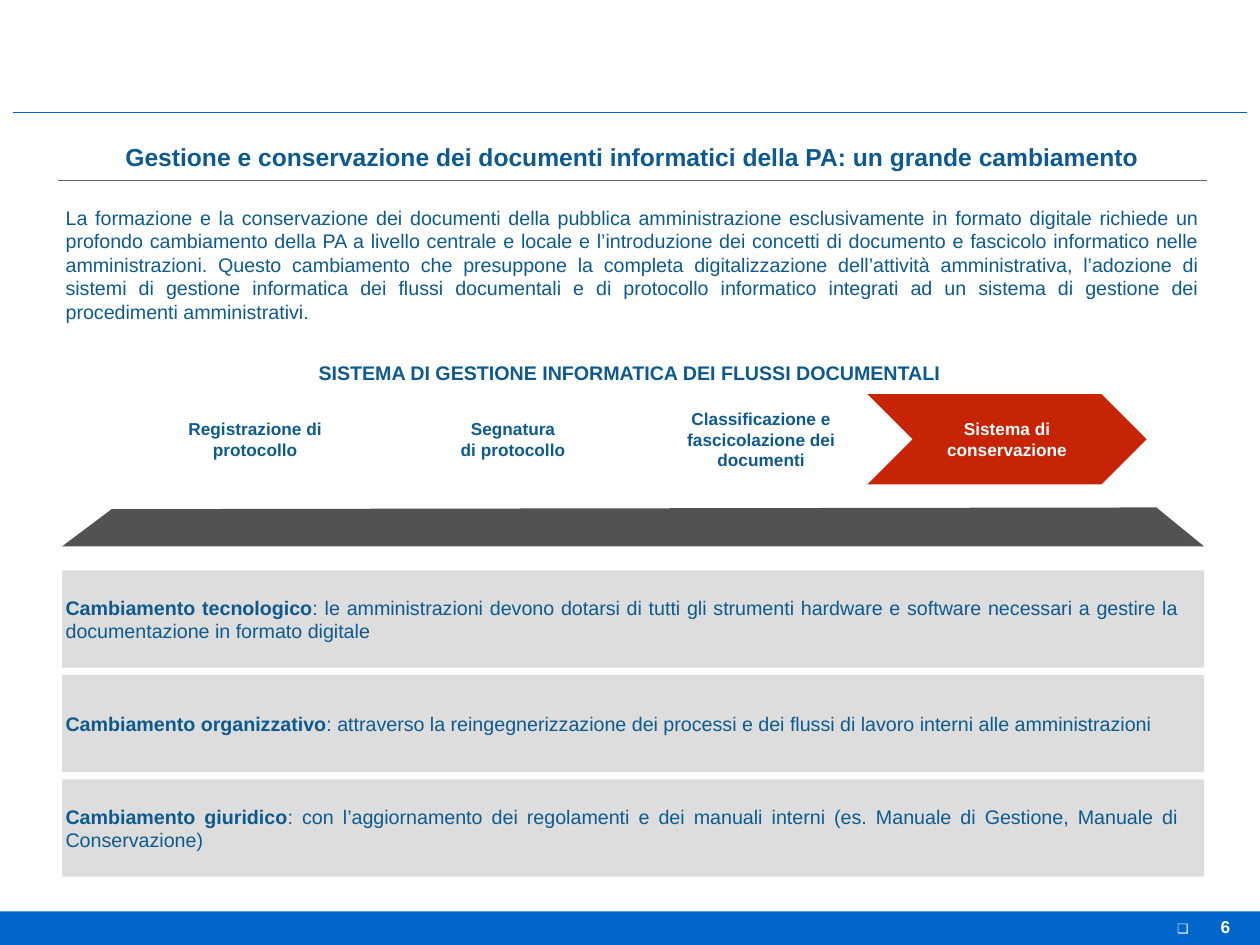
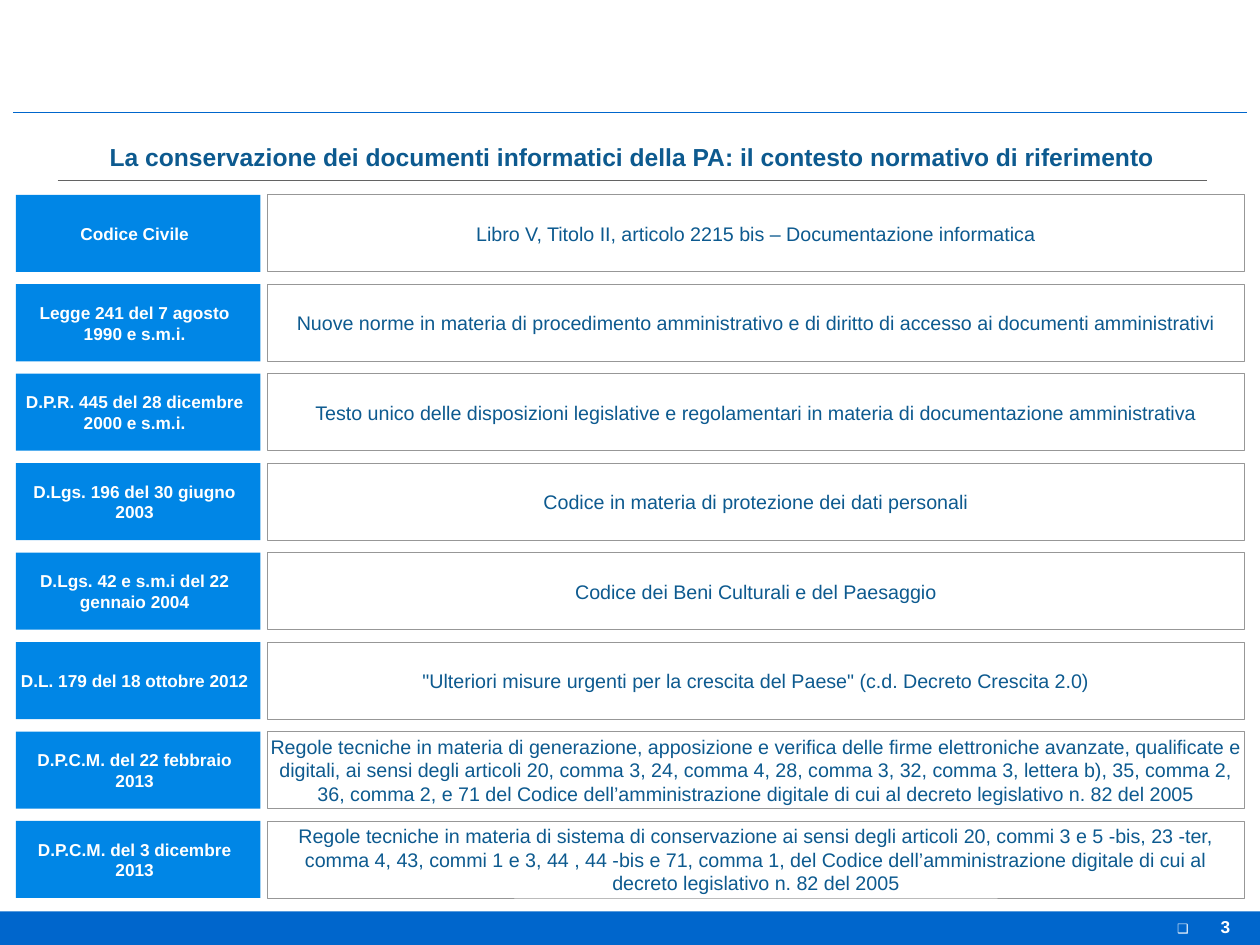
import pptx
import pptx.dml.color
import pptx.enum.shapes
import pptx.enum.text
import pptx.oxml.ns
import pptx.util
from lxml import etree

Inches = pptx.util.Inches
Pt = pptx.util.Pt
RGBColor = pptx.dml.color.RGBColor
SHAPE = pptx.enum.shapes.MSO_SHAPE
ALIGN = pptx.enum.text.PP_ALIGN
ANCHOR = pptx.enum.text.MSO_ANCHOR

# Shared style
FONT = "Arial"
BAND_BLUE = RGBColor(0x00, 0x66, 0xCC)
LABEL_BLUE = RGBColor(0x00, 0x86, 0xE6)
TEXT_BLUE = RGBColor(0x0D, 0x5A, 0x8F)
ACCENT_RED = RGBColor(0xC7, 0x24, 0x05)
DARK_GREY = RGBColor(0x52, 0x52, 0x52)
RULE_GREY = RGBColor(0x63, 0x63, 0x63)
BORDER_GREY = RGBColor(0x97, 0x97, 0x97)
CARD_GREY = RGBColor(0xDD, 0xDD, 0xDD)
WHITE = RGBColor(0xFF, 0xFF, 0xFF)

SLIDE_WIDTH, SLIDE_HEIGHT = 14.22, 10.67
BAND_TOP, BAND_HEIGHT = 10.29, 0.38
TITLE_BOX = (0.65, 1.5, 12.97, 0.54)

# Content
INTRO = (
    "La formazione e la conservazione dei documenti della pubblica amministrazione "
    "esclusivamente in formato digitale richiede un profondo cambiamento della PA a "
    "livello centrale e locale e l’introduzione dei concetti di documento e fascicolo "
    "informatico nelle amministrazioni. Questo cambiamento che presuppone la completa "
    "digitalizzazione dell’attività amministrativa, l’adozione di sistemi di gestione "
    "informatica dei flussi documentali e di protocollo informatico integrati ad un "
    "sistema di gestione dei procedimenti amministrativi."
)
# Centre of each step and its lines
STEPS = [
    (2.88, ["Registrazione di", "protocollo"]),
    (5.79, ["Segnatura", "di protocollo"]),
    (8.59, ["Classificazione e", "fascicolazione dei", "documenti"]),
]
CHANGES = [
    ("Cambiamento tecnologico",
     ": le amministrazioni devono dotarsi di tutti gli strumenti hardware e software "
     "necessari a gestire la documentazione in formato digitale"),
    ("Cambiamento organizzativo",
     ": attraverso la reingegnerizzazione dei processi e dei flussi di lavoro interni "
     "alle amministrazioni"),
    ("Cambiamento giuridico",
     ": con l’aggiornamento dei regolamenti e dei manuali interni (es. Manuale di "
     "Gestione, Manuale di Conservazione)"),
]
LAWS = [
    (["Codice Civile"],
     ["Libro V, Titolo II, articolo 2215 bis – Documentazione informatica"]),
    (["Legge 241 del 7 agosto", "1990 e s.m.i."],
     ["Nuove norme in materia di procedimento amministrativo e di diritto di accesso "
      "ai documenti amministrativi"]),
    (["D.P.R. 445 del 28 dicembre", "2000 e s.m.i."],
     ["Testo unico delle disposizioni legislative e regolamentari in materia di "
      "documentazione amministrativa"]),
    (["D.Lgs. 196 del 30 giugno", "2003"],
     ["Codice in materia di protezione dei dati personali"]),
    (["D.Lgs. 42 e s.m.i del 22", "gennaio 2004"],
     ["Codice dei Beni Culturali e del Paesaggio"]),
    (["D.L. 179 del 18 ottobre 2012"],
     ['"Ulteriori misure urgenti per la crescita del Paese" (c.d. Decreto Crescita 2.0)']),
    (["D.P.C.M. del 22 febbraio", "2013"],
     ["Regole tecniche in materia di generazione, apposizione e verifica delle firme "
      "elettroniche avanzate, qualificate e digitali, ai sensi degli articoli 20, comma 3, "
      "24, comma 4, 28, comma 3, 32, comma 3, lettera b), 35, comma 2, 36, comma 2, e 71 "
      "del Codice dell’amministrazione digitale di cui al decreto legislativo n. 82 del 2005"]),
    (["D.P.C.M. del 3 dicembre", "2013"],
     ["Regole tecniche in materia di sistema di conservazione ai sensi degli articoli 20, "
      "commi 3 e 5 -bis, 23 -ter,",
      "comma 4, 43, commi 1 e 3, 44 , 44 -bis e 71, comma 1, del Codice "
      "dell’amministrazione digitale di cui al",
      "decreto legislativo n. 82 del 2005"]),
]


def lengths(box):
    return [Inches(value) for value in box]


def write_text(shape, paragraphs, size, color=TEXT_BLUE, bold=False,
               align=ALIGN.CENTER, anchor=ANCHOR.MIDDLE, left=0, right=0):
    """Each paragraph is a string, or a list of (text, bold) runs."""
    frame = shape.text_frame
    frame.word_wrap = True
    frame.auto_size = pptx.enum.text.MSO_AUTO_SIZE.NONE
    frame.vertical_anchor = anchor
    frame.margin_left, frame.margin_right = Inches(left), Inches(right)
    frame.margin_top = frame.margin_bottom = 0
    for index, content in enumerate(paragraphs):
        paragraph = frame.add_paragraph() if index else frame.paragraphs[0]
        paragraph.alignment = align
        runs = [(content, bold)] if isinstance(content, str) else content
        for text, run_bold in runs:
            run = paragraph.add_run()
            run.text = text
            run.font.name = FONT
            run.font.size = Pt(size)
            run.font.bold = run_bold
            run.font.color.rgb = color


def add_text(slide, box, paragraphs, size, **style):
    shape = slide.shapes.add_textbox(*lengths(box))
    write_text(shape, paragraphs, size, **style)
    return shape


def paint(shape, fill=None, line=None):
    shape.shadow.inherit = False
    if fill is None:
        shape.fill.background()
    else:
        shape.fill.solid()
        shape.fill.fore_color.rgb = fill
    if line is None:
        shape.line.fill.background()
    else:
        shape.line.color.rgb = line
        shape.line.width = Pt(0.72)


def add_box(slide, box, fill=None, line=None, kind=SHAPE.RECTANGLE):
    shape = slide.shapes.add_shape(kind, *lengths(box))
    paint(shape, fill, line)
    return shape


def add_rule(slide, left, right, top, color, width):
    rule = slide.shapes.add_connector(
        pptx.enum.shapes.MSO_CONNECTOR.STRAIGHT, *lengths((left, top, right, top)))
    rule.line.color.rgb = color
    rule.line.width = Pt(width)
    etree.SubElement(rule.element.spPr, pptx.oxml.ns.qn("a:effectLst"))
    return rule


def move_frame_to_layout(slide, layout):
    """Draw the bands and rules, then hand them to the layout all slides use."""
    for placeholder in list(layout.placeholders):
        if placeholder.placeholder_format.idx != 0:
            layout.shapes.element.remove(placeholder.element)
    left, top, width, height = TITLE_BOX
    frame_parts = [
        add_box(slide, (0, BAND_TOP, SLIDE_WIDTH, BAND_HEIGHT), BAND_BLUE),
        add_rule(slide, 0.15, 14.07, 1.27, BAND_BLUE, 0.96),
        add_rule(slide, left, left + width, top + height, RULE_GREY, 0.72),
        add_text(slide, (13.2, BAND_TOP, 0.3, BAND_HEIGHT), ["❑"], 10.5, color=WHITE),
    ]
    for part in frame_parts:
        layout.shapes.element.append(part.element)


def add_heading(slide, title, page):
    placeholder = slide.shapes.title
    (placeholder.left, placeholder.top,
     placeholder.width, placeholder.height) = lengths(TITLE_BOX)
    write_text(placeholder, [title], 20, bold=True)
    add_text(slide, (13.58, BAND_TOP, 0.5, BAND_HEIGHT - 0.03), [str(page)], 14,
             color=WHITE, bold=True)


def add_process(slide, left, top, width):
    """Steps, final arrow and the trapezoid beneath them."""
    step_width, step_height = 2.2, 1.02
    for center, lines in STEPS:
        add_text(slide, (center - step_width / 2, top, step_width, step_height),
                 lines, 14, bold=True)
    arrow = add_box(slide, (9.79, top, 3.15, step_height), ACCENT_RED, kind=SHAPE.CHEVRON)
    write_text(arrow, ["Sistema di", "conservazione"], 14, color=WHITE, bold=True)

    # Trapezoid with a slightly sloping top
    base, right = top + 1.72, left + width
    builder = slide.shapes.build_freeform(Inches(left), Inches(base), scale=1.0)
    corners = [(left + 0.56, base - 0.42), (right - 0.54, base - 0.44), (right, base)]
    builder.add_line_segments([lengths(corner) for corner in corners], close=True)
    paint(builder.convert_to_shape(), DARK_GREY)


def add_changes(slide, left, top, width):
    height, pitch = 1.1, 1.18
    for index, (name, detail) in enumerate(CHANGES):
        card = add_box(slide, (left, top + index * pitch, width, height), CARD_GREY)
        write_text(card, [[(name, True), (detail, False)]], 16,
                   align=ALIGN.JUSTIFY, left=0.04, right=0.29)


def add_laws(slide, left, top, width):
    height, pitch, label_width, gap = 0.87, 1.01, 2.76, 0.08
    text_left = left + label_width + gap
    for index, (label_lines, text_lines) in enumerate(LAWS):
        row_top = top + index * pitch
        label = add_box(slide, (left, row_top, label_width, height), LABEL_BLUE)
        write_text(label, label_lines, 14, color=WHITE, bold=True, right=0.08)
        law = add_box(slide, (text_left, row_top, left + width - text_left, height),
                      line=BORDER_GREY)
        write_text(law, text_lines, 16)


def build_change_slide(slide):
    add_heading(slide, "Gestione e conservazione dei documenti informatici della PA: "
                       "un grande cambiamento", 6)
    add_text(slide, (0.74, 2.32, 12.79, 1.4), [INTRO], 16,
             align=ALIGN.JUSTIFY, anchor=ANCHOR.TOP)
    add_text(slide, (0.74, 4.06, 12.73, 0.3),
             ["SISTEMA DI GESTIONE INFORMATICA DEI FLUSSI DOCUMENTALI"], 16, bold=True)
    add_process(slide, 0.7, 4.45, 12.89)
    add_changes(slide, 0.7, 6.44, 12.89)


def build_law_slide(slide):
    add_heading(slide, "La conservazione dei documenti informatici della PA: "
                       "il contesto normativo di riferimento", 3)
    add_laws(slide, 0.18, 2.2, 13.86)


def main():
    presentation = pptx.Presentation()
    presentation.slide_width = Inches(SLIDE_WIDTH)
    presentation.slide_height = Inches(SLIDE_HEIGHT)
    layout = presentation.slide_layouts.get_by_name("Title Only")
    change_slide = presentation.slides.add_slide(layout)
    law_slide = presentation.slides.add_slide(layout)
    move_frame_to_layout(change_slide, layout)
    build_change_slide(change_slide)
    build_law_slide(law_slide)
    presentation.save("out.pptx")


if __name__ == "__main__":
    main()
